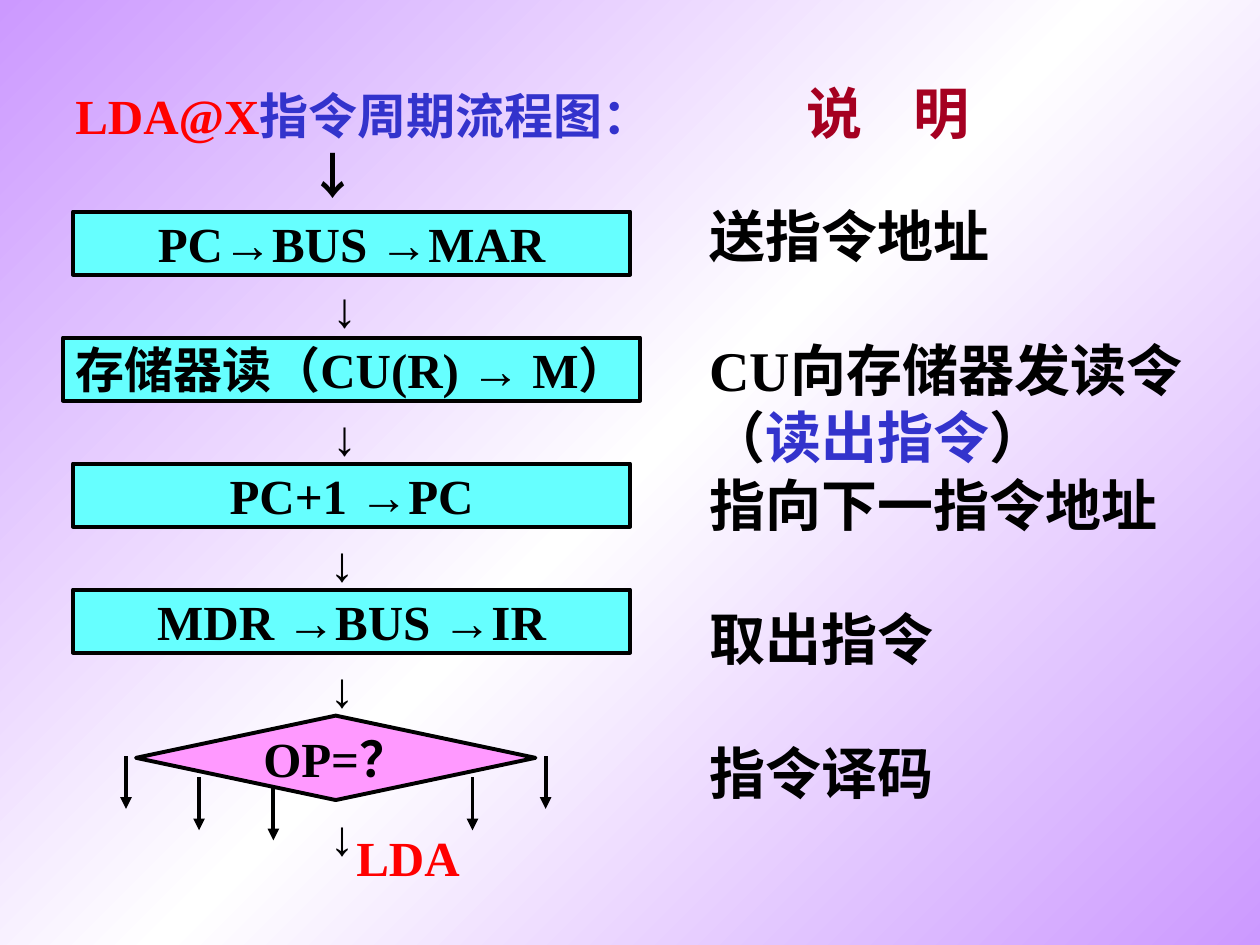
from itertools import groupby
from lxml.etree import SubElement
from pptx import Presentation
from pptx.dml.color import RGBColor
from pptx.enum.shapes import MSO_CONNECTOR, MSO_SHAPE
from pptx.enum.text import MSO_ANCHOR, PP_ALIGN
from pptx.oxml import parse_xml
from pptx.oxml.ns import nsdecls, qn
from pptx.util import Inches, Pt

C = {"black": "000000", "red": "FF0000", "blue": "3333CC", "wine": "A50021",
     "cyan": "66FFFF", "pink": "FF99FF", "violet": "CC99FF", "white": "FFFFFF"}

prs = Presentation()
prs.slide_width, prs.slide_height = Inches(10), Inches(7.5)
U = prs.slide_width // 100
s = prs.slides.add_slide(prs.slide_layouts[6])


def write(p, parts, size=28):
    for text, color in parts:
        for arrow, chars in groupby(text, lambda c: c in "→↓"):
            r = p.add_run()
            r.text = "".join(chars)
            r.font.name = "Arial" if arrow else "Times New Roman"
            r.font.size, r.font.bold = Pt(size), True
            r.font.color.rgb = RGBColor.from_string(C[color])


def textbox(x, y, w, h, wrap=False):
    tf = s.shapes.add_textbox(*(int(v * U) for v in (x, y, w, h))).text_frame
    tf.word_wrap = wrap
    return tf


fill = s.background.fill
fill.gradient()
grad = s.background._cSld.find(".//" + qn("a:gradFill"))
for child in list(grad):
    grad.remove(child)
stops = "".join(f'<a:gs pos="{pos}000"><a:srgbClr val="{C[name]}"/></a:gs>'
                for pos, name in ((0, "violet"), (50, "white"), (100, "violet")))
grad.append(parse_xml(f'<a:gsLst {nsdecls("a")}>{stops}</a:gsLst>'))
grad.append(parse_xml(f'<a:lin {nsdecls("a")} ang="2700000" scaled="0"/>'))

tf = textbox(5, 5, 90.8, 12.5, True)
tf.vertical_anchor = MSO_ANCHOR.MIDDLE
p = tf.paragraphs[0]
tabs = SubElement(p._p.get_or_add_pPr(), qn("a:tabLst"))
for pos in (18.5, 58, 66.5):
    SubElement(tabs, qn("a:tab"), pos=str(int(pos * U)), algn="l")
write(p, [("LDA@X", "red"), ("指令周期流程图：", "blue")])
write(p, [("\t说\t明", "wine")], 32)
p.add_line_break()
write(p, [("\t↓", "black")])

notes = [
    (0, [("送指令地址", "black")]),
    (1, [("CU向存储器发读令", "black")]),
    (0, [("（", "black"), ("读出指令", "blue"), ("）", "black")]),
    (0, [("指向下一指令地址", "black")]),
    (1, [("取出指令", "black")]),
    (1, [("指令译码", "black")]),
]
tf = textbox(55.3, 15.5, 40.6, 49)
for i, (gap, parts) in enumerate(notes):
    p = tf.add_paragraph() if i else tf.paragraphs[0]
    if gap:
        p.space_before = Pt(38.3)
    write(p, parts, 32)

box, diamond = MSO_SHAPE.FLOWCHART_PROCESS, MSO_SHAPE.FLOWCHART_DECISION
steps = [
    (diamond, "pink", 10.8, 56.8, 31.7, 6.7, "OP=？"),
    (box, "cyan", 5.8, 16.8, 44.2, 5, "PC→BUS →MAR"),
    (box, "cyan", 5, 26.8, 45.8, 5, "存储器读（CU(R) → M）"),
    (box, "cyan", 5.8, 36.8, 44.2, 5, "PC+1 →PC"),
    (box, "cyan", 5.8, 46.8, 44.2, 5, "MDR →BUS →IR"),
]
for kind, color, x, y, w, h, text in steps:
    sp = s.shapes.add_shape(kind, *(int(v * U) for v in (x, y, w, h)))
    sp.shadow.inherit = False
    sp.fill.solid()
    sp.fill.fore_color.rgb = RGBColor.from_string(C[color])
    sp.line.color.rgb = RGBColor.from_string(C["black"])
    sp.line.width = Pt(2.25)
    tf = sp.text_frame
    tf.word_wrap = False
    tf.vertical_anchor = MSO_ANCHOR.MIDDLE
    p = tf.paragraphs[0]
    p.alignment = PP_ALIGN.CENTER
    write(p, [(text, "black")])

labels = [(25.4, 21.6), (25.4, 31.8), (25.2, 41.8), (25.2, 51.8), (25.2, 63.5)]
for x, y in labels:
    write(textbox(x, y, 3.5, 5.7).paragraphs[0], [("↓", "black")])
write(textbox(27.3, 65.2, 10.2, 5.7).paragraphs[0], [("LDA", "red")])

for x, y in ((10, 60), (15.8, 61.7), (21.7, 62.5), (37.5, 61.7), (43.3, 60)):
    ends = (int(v * U) for v in (x, y, x, y + 4.2))
    cn = s.shapes.add_connector(MSO_CONNECTOR.STRAIGHT, *ends)
    cn.line.color.rgb = RGBColor.from_string(C["black"])
    cn.line.width = Pt(2.25)
    SubElement(cn.line._get_or_add_ln(), qn("a:tailEnd"), type="triangle")
    SubElement(cn._element.spPr, qn("a:effectLst"))

prs.save("out.pptx")
